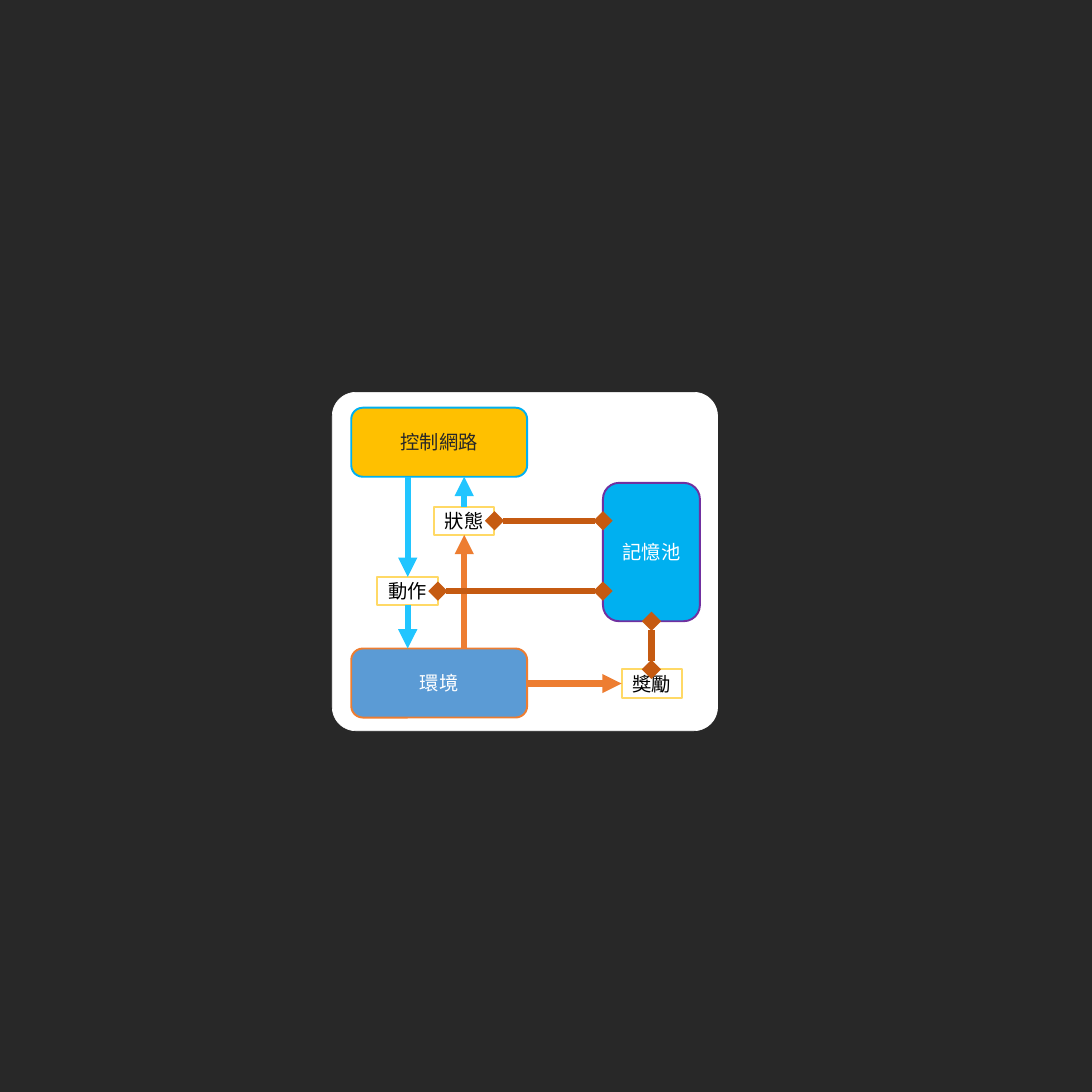
"""Build a slide showing the loop of control network, environment and memory pool."""
import pptx
import pptx.dml.color
import pptx.enum.shapes
import pptx.enum.text
import pptx.oxml
import pptx.oxml.ns
import pptx.util

Pt = pptx.util.Pt
SHAPES = pptx.enum.shapes.MSO_SHAPE
FONT = "DejaVu Sans Mono"
SIDE = 1700.64
COLORS = {
    "dark": "282828", "white": "FFFFFF", "black": "000000", "amber": "FFC000",
    "cyan": "00B0F0", "purple": "7030A0", "blue": "5B9BD5", "orange": "ED7D31",
    "yellow": "FFD966", "sky": "21C5FF", "rust": "C55A11",
}


def rgb(name):
    return pptx.dml.color.RGBColor.from_string(COLORS[name])


def add_box(slide, bounds, fill, line, width=3, kind=SHAPES.ROUNDED_RECTANGLE):
    shape = slide.shapes.add_shape(kind, *map(Pt, bounds))
    shape.shadow.inherit = False
    if fill:
        shape.fill.solid()
        shape.fill.fore_color.rgb = rgb(fill)
    else:
        shape.fill.background()
    shape.line.color.rgb = rgb(line)
    shape.line.width = Pt(width)
    return shape


def write_label(shape, text, color):
    frame = shape.text_frame
    frame.text = text
    frame.word_wrap = True
    frame.vertical_anchor = pptx.enum.text.MSO_ANCHOR.MIDDLE
    paragraph = frame.paragraphs[0]
    paragraph.alignment = pptx.enum.text.PP_ALIGN.CENTER
    font = paragraph.runs[0].font
    font.name = FONT
    font.size = Pt(30)
    font.color.rgb = rgb(color)


def add_node(slide, text, bounds, fill, line, color):
    write_label(add_box(slide, bounds, fill, line), text, color)


def add_tag(slide, text, left, top):
    shape = add_box(slide, (left, top, 94.5, 44), None, "yellow", kind=SHAPES.RECTANGLE)
    write_label(shape, text, "black")


def add_link(slide, start, end, color, head=None, tail="triangle"):
    connector = slide.shapes.add_connector(
        pptx.enum.shapes.MSO_CONNECTOR.STRAIGHT, *map(Pt, start + end))
    connector.line.color.rgb = rgb(color)
    connector.line.width = Pt(10)
    line = connector.line._get_or_add_ln()
    for tag, kind in (("a:headEnd", head), ("a:tailEnd", tail)):
        if kind:
            pptx.oxml.ns.qn(tag)
            line.append(pptx.oxml.parse_xml(
                f'<{tag} {pptx.oxml.ns.nsdecls("a")} type="{kind}"/>'))
    connector._element.spPr.append(
        pptx.oxml.parse_xml(f'<a:effectLst {pptx.oxml.ns.nsdecls("a")}/>'))


def main():
    presentation = pptx.Presentation()
    presentation.slide_width = presentation.slide_height = Pt(SIDE)
    slide = presentation.slides.add_slide(presentation.slide_layouts[6])
    slide.background.fill.solid()
    slide.background.fill.fore_color.rgb = rgb("dark")

    panel = add_box(slide, (517.5, 611, 600, 527), "white", "white", 1)
    panel.adjustments[0] = 0.07
    add_node(slide, "控制網路", (547, 635, 274, 107.5), "amber", "cyan", "dark")
    add_node(slide, "記憶池", (939, 752, 151, 215.5), "cyan", "purple", "white")
    add_node(slide, "環境", (547, 1010, 274, 107.5), "blue", "orange", "white")
    for text, left, top in (
        ("狀態", 675.5, 789), ("動作", 587.5, 898.5), ("獎勵", 968, 1042.5),
    ):
        add_tag(slide, text, left, top)

    action_x, state_x, reward_x = 635, 723, 1014.5
    state_y, action_y, reward_y = 811, 920.5, 1064.5
    for start, end, color in (
        ((action_x, 742.5), (action_x, 898.5), "sky"),
        ((action_x, 942.5), (action_x, 1010), "sky"),
        ((state_x, 1010), (state_x, 833), "orange"),
        ((state_x, 789), (state_x, 742.5), "sky"),
        ((821, reward_y), (968, reward_y), "orange"),
    ):
        add_link(slide, start, end, color)
    for start, end in (
        ((770, state_y), (939, state_y)),
        ((682, action_y), (939, action_y)),
        ((reward_x, 1042.5), (reward_x, 967.5)),
    ):
        add_link(slide, start, end, "rust", "diamond", "diamond")
    presentation.save("out.pptx")


if __name__ == "__main__":
    main()
